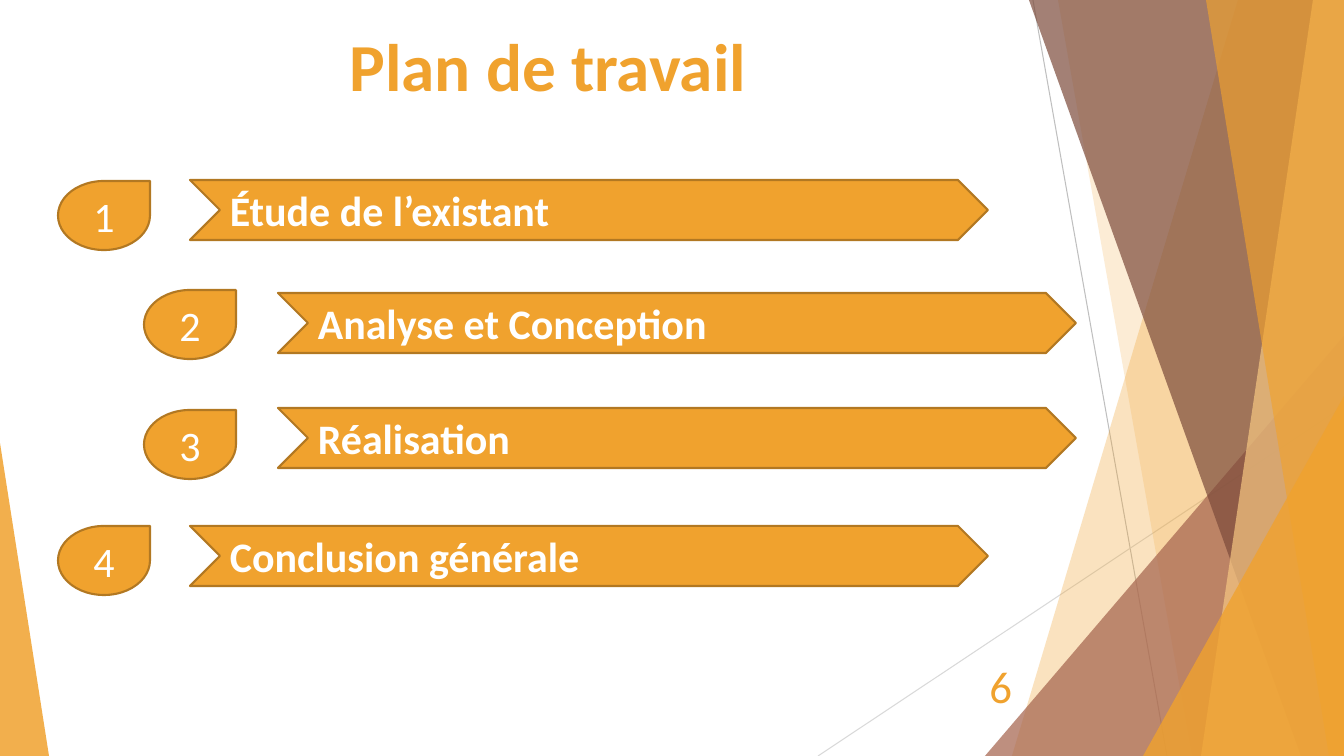
from lxml import etree
from pptx import Presentation
from pptx.dml.color import RGBColor
from pptx.enum.shapes import MSO_CONNECTOR, MSO_SHAPE
from pptx.enum.text import MSO_ANCHOR, PP_ALIGN
from pptx.oxml.ns import qn
from pptx.util import Pt

PX = 914400 / 100.8
WIDTH, HEIGHT = 1344, 756
FONT = "Calibri"
COLORS = {
    "orange": "F0A22E",
    "outline": "B27822",
    "peach": "F6C782",
    "rust": "A5644E",
    "brown": "7C4B3B",
    "grey": "BFBFBF",
    "light_grey": "D9D9D9",
    "white": "FFFFFF",
}
STEPS = [
    ("Étude de l’existant", 58, 181, 190, 180),
    ("Analyse et Conception", 144, 290, 278, 293),
    ("Réalisation", 144, 410, 278, 408),
    ("Conclusion générale", 58, 526, 190, 526),
]


def px(*values):
    return [round(v * PX) for v in values]


def rgb(name):
    return RGBColor.from_string(COLORS[name])


def paint(sp, color, alpha=100):
    sp.shadow.inherit = False
    sp.fill.solid()
    sp.fill.fore_color.rgb = rgb(color)
    sp.line.fill.background()
    if alpha < 100:
        clr = sp._element.spPr.find(qn("a:solidFill"))[0]
        etree.SubElement(clr, qn("a:alpha")).set("val", str(alpha * 1000))


def write(tf, text, size, color, align, bold=False, anchor=MSO_ANCHOR.MIDDLE):
    tf.word_wrap = True
    tf.vertical_anchor = anchor
    p = tf.paragraphs[0]
    p.text = text
    p.alignment = align
    p.font.name = FONT
    p.font.size = Pt(size)
    p.font.bold = bold
    p.font.color.rgb = rgb(color)


def add_line(slide, x1, y1, x2, y2, color):
    line = slide.shapes.add_connector(MSO_CONNECTOR.STRAIGHT, *px(x1, y1, x2, y2))
    line.line.color.rgb = rgb(color)
    line.line.width = Pt(0.75)
    etree.SubElement(line._element.spPr, qn("a:effectLst"))


def add_band(slide, top_x, bottom_x, color, alpha):
    fb = slide.shapes.build_freeform(*px(top_x, 0), scale=1.0)
    corners = [(WIDTH, 0), (WIDTH, HEIGHT), (bottom_x, HEIGHT)]
    fb.add_line_segments([px(*corner) for corner in corners], close=True)
    paint(fb.convert_to_shape(), color, alpha)


def add_wedge(slide, x, y, w, apex, color, alpha):
    sp = slide.shapes.add_shape(
        MSO_SHAPE.ISOSCELES_TRIANGLE, *px(x, y, w, HEIGHT - y))
    sp.adjustments[0] = apex
    paint(sp, color, alpha)


def add_label(slide, kind, box, text, align, bold):
    sp = slide.shapes.add_shape(kind, *px(*box))
    paint(sp, "orange")
    sp.line.color.rgb = rgb("outline")
    sp.line.width = Pt(1.5)
    write(sp.text_frame, text, 30, "white", align, bold)


def add_decoration(slide):
    add_line(slide, 1033, 0, 1167, HEIGHT, "grey")
    add_line(slide, WIDTH, 406, 818, HEIGHT, "light_grey")
    add_band(slide, 1238, 1012, "orange", 30)
    add_band(slide, 1058, 1192, "orange", 20)
    add_wedge(slide, 985, 336, 359, 1, "rust", 72)
    add_band(slide, 1029, 1301, "brown", 70)
    add_band(slide, 1313, 1201, "peach", 70)
    add_band(slide, 1206, 1329, "orange", 65)
    add_wedge(slide, 1143, 396, 201, 1, "orange", 80)
    add_wedge(slide, 0, 443, 49, 0, "orange", 85)


def add_title(slide, text):
    title = slide.shapes.title
    title.left, title.top, title.width, title.height = px(74, 16, 948, 109)
    title.text_frame.margin_top = px(8)[0]
    write(title.text_frame, text, 48, "orange", PP_ALIGN.CENTER, True,
          MSO_ANCHOR.TOP)


def add_page_number(slide, number):
    box = slide.shapes.add_textbox(*px(947, 666, 75, 40))
    write(box.text_frame, number, 32, "orange", PP_ALIGN.RIGHT)


def main():
    prs = Presentation()
    prs.slide_width, prs.slide_height = px(WIDTH, HEIGHT)
    slide = prs.slides.add_slide(prs.slide_layouts[5])
    add_decoration(slide)
    add_title(slide, "Plan de travail")
    for number, (text, drop_x, drop_y, bar_x, bar_y) in enumerate(STEPS, 1):
        add_label(slide, MSO_SHAPE.TEAR, (drop_x, drop_y, 92, 69),
                  str(number), PP_ALIGN.CENTER, False)
        add_label(slide, MSO_SHAPE.CHEVRON, (bar_x, bar_y, 798, 60),
                  text, PP_ALIGN.LEFT, True)
    add_page_number(slide, "6")
    prs.save("out.pptx")


if __name__ == "__main__":
    main()
